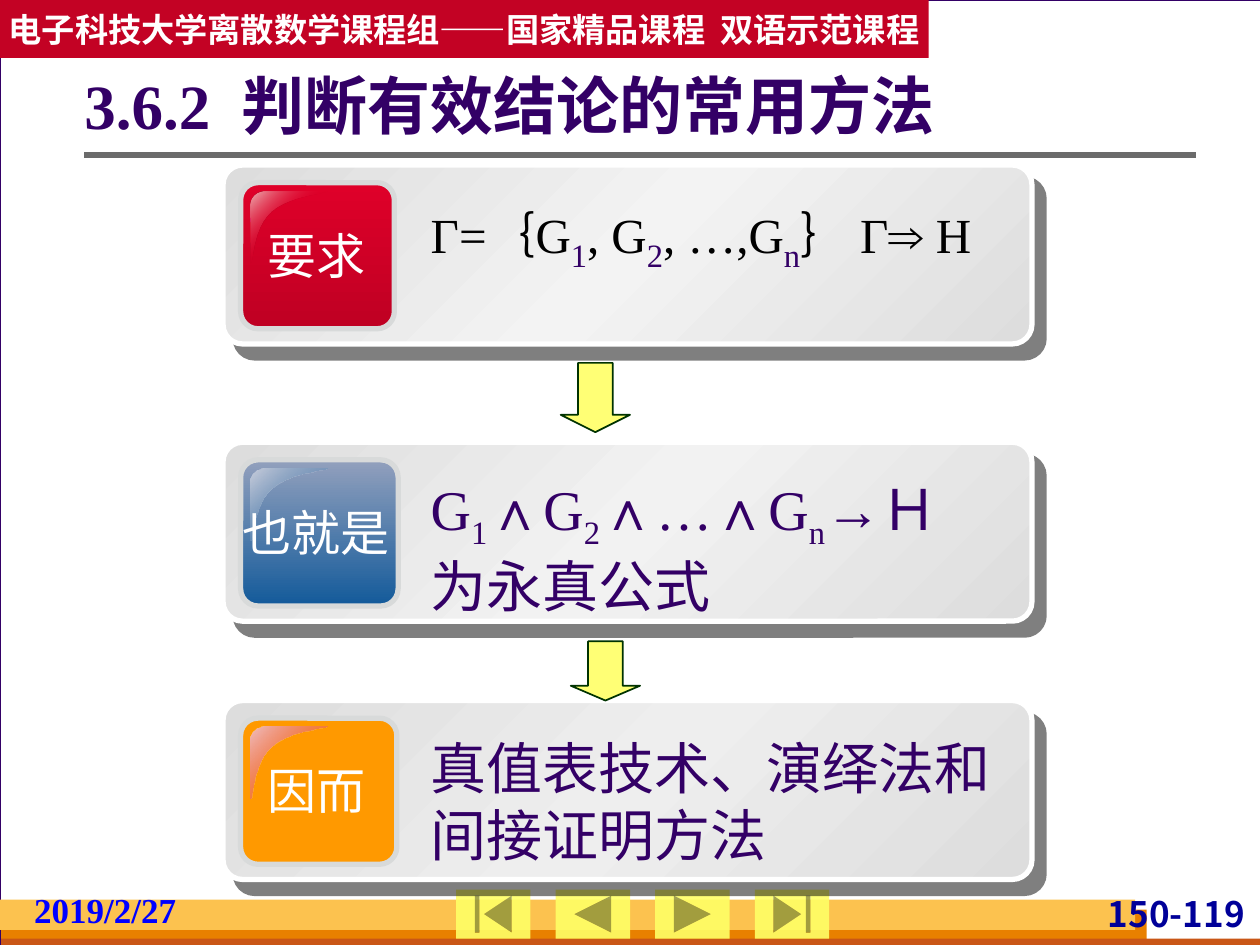
from pptx import Presentation
from pptx.dml.color import RGBColor
from pptx.enum.shapes import MSO_CONNECTOR, MSO_SHAPE as SHAPE
from pptx.enum.text import MSO_ANCHOR as ANCHOR, MSO_AUTO_SIZE as AUTO, PP_ALIGN as ALIGN
from pptx.oxml.ns import qn
from pptx.util import Inches, Pt
from lxml.etree import SubElement

CJK, SERIF = "Noto Sans CJK SC", "Times New Roman"
WHITE = RGBColor(0xFF, 0xFF, 0xFF)
BLACK = RGBColor(0, 0, 0)
PURPLE = RGBColor(0x33, 0x00, 0x66)
SILVER = RGBColor(0xD8, 0xDA, 0xDA)
RULE_GREY = RGBColor(0x6B, 0x6B, 0x6B)
CARD_EDGE = RGBColor(0xDD, 0xDD, 0xDD)
HEADER_RED = RGBColor(0xC3, 0x02, 0x24)
RED, DARK_RED = RGBColor(0xDF, 0x00, 0x29), RGBColor(0xBF, 0x00, 0x23)
PALE_RED, PINK = RGBColor(0xEE, 0xB5, 0xB6), RGBColor(0xF0, 0xBF, 0xC0)
BLUE, LIGHT_BLUE = RGBColor(0x13, 0x5A, 0x9A), RGBColor(0x92, 0xA0, 0xBD)
PALE_BLUE = RGBColor(0xC9, 0xCE, 0xDC)
ORANGE = RGBColor(0xFF, 0x99, 0x00)
FOOT_BANDS = (RGBColor(0xE8, 0x80, 0x00), RGBColor(0xC9, 0x56, 0x16), RGBColor(0xFC, 0xC2, 0x4F))
YELLOW, DARK_GREEN = RGBColor(0xFF, 0xFF, 0x66), RGBColor(0x00, 0x33, 0x00)
NAVY, DATE_BLUE = RGBColor(0x00, 0x00, 0x99), RGBColor(0x00, 0x00, 0xFF)


def set_alpha(parent, percent):
    for color in parent.iter(qn("a:srgbClr")):
        SubElement(color, qn("a:alpha")).set("val", str(percent * 1000))


def paint(s, fill, line=None, width=0.75, alpha=None):
    """Fill with one colour, or with a gradient given as (angle, stops)."""
    s.shadow.inherit = False
    if isinstance(fill, RGBColor):
        s.fill.solid()
        s.fill.fore_color.rgb = fill
        if alpha:
            set_alpha(s._element.spPr.find(qn("a:solidFill")), alpha)
    else:
        angle, stops = fill
        s.fill.gradient()
        s.fill.gradient_angle = 360 - angle
        gs_list = s._element.spPr.find(".//" + qn("a:gsLst"))
        gs_list.clear()
        for pos, color, opacity in stops:
            gs = SubElement(gs_list, qn("a:gs"), pos=str(pos * 1000))
            SubElement(gs, qn("a:srgbClr"), val=str(color))
            set_alpha(gs, opacity)
    if line is None:
        s.line.fill.background()
    else:
        s.line.color.rgb = line
        s.line.width = Pt(width)


def add_block(shapes, kind, box, fill, adj=None, **style):
    s = shapes.add_shape(kind, *map(Inches, box))
    for i, value in enumerate(adj or ()):
        s.adjustments[i] = value
    paint(s, fill, **style)
    return s


def add_run(p, text, size, color, font=SERIF, bold=False, baseline=0):
    r = p.add_run()
    r.text = text
    r.font.size, r.font.bold, r.font.name = Pt(size), bold, font
    r.font.color.rgb = color
    rPr = r._r.get_or_add_rPr()
    SubElement(rPr, qn("a:ea")).set("typeface", CJK)
    if baseline:
        rPr.set("baseline", str(baseline * 1000))


def add_text(shapes, box, lines, align=ALIGN.LEFT, wrap=True, tight=False):
    """Each line is a list of argument tuples for add_run."""
    tf = shapes.add_textbox(*map(Inches, box)).text_frame
    tf.word_wrap, tf.auto_size = wrap, AUTO.SHAPE_TO_FIT_TEXT
    if tight:
        tf.margin_left = tf.margin_right = Inches(0.04)
        tf.margin_top = tf.margin_bottom = 0
    for i, runs in enumerate(lines):
        p = tf.add_paragraph() if i else tf.paragraphs[0]
        p.alignment = align
        for run in runs:
            add_run(p, *run)


def formula(parts, size, color):
    """Alternate normal text and subscripts."""
    return [(text, 32, PURPLE, SERIF, False, -25) if i % 2 else (text, size, color)
            for i, text in enumerate(parts)]


def bezier(p0, p1, p2, p3, steps=12):
    for k in range(1, steps + 1):
        t = k / steps
        u = 1 - t
        yield tuple(u**3 * a + 3 * u * u * t * b + 3 * u * t * t * c + t**3 * d
                    for a, b, c, d in zip(p0, p1, p2, p3))


def add_gloss(shapes, x, y, fill):
    points = [(0.12, 0),
              *bezier((0.12, 0), (0.05, 0), (0, 0.05), (0, 0.11)),
              (0, 0.57),
              *bezier((0, 0.57), (0.03, 0.58), (0.01, 0.3), (0.17, 0.16)),
              *bezier((0.17, 0.16), (0.32, 0.03), (0.62, 0.02), (0.61, 0))]
    emu = [(Inches(x + dx), Inches(y + dy)) for dx, dy in points]
    builder = shapes.build_freeform(*emu[0])
    builder.add_line_segments(emu[1:], close=True)
    paint(builder.convert_to_shape(), fill)


def add_card(slide, box, label, lines, mid_grey, badge_width, badge_fill, gloss_fill):
    x, y, w, h = box
    shapes = slide.shapes.add_group_shape().shapes
    # Panel with a hard offset shadow
    sheen = (45, [(0, CARD_EDGE, 100), (50, mid_grey, 100), (100, CARD_EDGE, 100)])
    panel = add_block(shapes, SHAPE.ROUNDED_RECTANGLE, box, sheen, (0.109,), line=WHITE, width=3)
    shadow = SubElement(panel._element.spPr.find(qn("a:effectLst")), qn("a:outerShdw"),
                        dist=str(Pt(10.6)), dir=str(49 * 60000), algn="ctr", rotWithShape="0")
    SubElement(shadow, qn("a:srgbClr"), val=str(BLACK))
    set_alpha(shadow, 50)
    # Badge with its highlight and label
    add_block(shapes, SHAPE.ROUNDED_RECTANGLE, (x + 0.14, y + 0.14, badge_width, 1.16),
              badge_fill, (0.119,), line=SILVER, width=3)
    add_gloss(shapes, x + 0.22, y + 0.21, gloss_fill)
    add_text(shapes, (x + 0.04, y + 0.43, 1.4, 0.57), [[(label, 28, WHITE)]], ALIGN.CENTER, False)
    # Statement
    add_text(shapes, (x + 1.55, y + 0.21, w - 1.7, h - 0.24), lines)


def add_frame(slide):
    shapes = slide.shapes
    add_block(shapes, SHAPE.RECTANGLE, (0, 0, 10.01, 7.5), WHITE, line=PURPLE)
    # Footer bands
    bands = ((0.01, 7.22, 9.09, 0.28), (0.01, 7.45, 10, 0.08), (0, 7.14, 9.01, 0.24))
    for box, color in zip(bands, FOOT_BANDS):
        add_block(shapes, SHAPE.RECTANGLE, box, color)
    add_text(shapes, (8.7, 7.08, 1.22, 0.33), [[("150-119", 20, NAVY, CJK, True)]],
             ALIGN.RIGHT, tight=True)
    # Rule under the title
    rule = shapes.add_connector(MSO_CONNECTOR.STRAIGHT, *map(Inches, (0.67, 1.23, 9.49, 1.23)))
    rule.line.color.rgb, rule.line.width = RULE_GREY, Pt(3)
    SubElement(rule._element.spPr, qn("a:effectLst"))
    # Navigation buttons
    buttons = (SHAPE.ACTION_BUTTON_BEGINNING, SHAPE.ACTION_BUTTON_BACK_OR_PREVIOUS,
               SHAPE.ACTION_BUTTON_FORWARD_OR_NEXT, SHAPE.ACTION_BUTTON_END)
    for i, kind in enumerate(buttons):
        add_block(shapes, kind, (3.62 + 0.79 * i, 7.06, 0.59, 0.39), YELLOW, alpha=90)
    # Course banner
    tf = add_block(shapes, SHAPE.RECTANGLE, (0, 0, 7.37, 0.46), HEADER_RED).text_frame
    tf.word_wrap, tf.vertical_anchor = False, ANCHOR.MIDDLE
    tf.margin_left = tf.margin_right = Inches(0.04)
    tf.paragraphs[0].alignment = ALIGN.CENTER
    add_run(tf.paragraphs[0], "电子科技大学离散数学课程组——国家精品课程  双语示范课程",
            19, WHITE, CJK, True)
    add_text(shapes, (0.23, 7.05, 1.65, 0.33), [[("2019/2/27", 20, DATE_BLUE, SERIF, True)]],
             tight=True)


def add_title(slide, box):
    s = slide.shapes.title
    s.left, s.top, s.width, s.height = map(Inches, box)
    tf = s.text_frame
    tf.auto_size, tf.vertical_anchor, tf.margin_left = AUTO.NONE, ANCHOR.MIDDLE, 0
    p = tf.paragraphs[0]
    p.alignment, p.line_spacing = ALIGN.LEFT, 0.9
    add_run(p, "3.6.2  判断有效结论的常用方法", 36, PURPLE, SERIF, True)
    slide.shapes._spTree.append(s._element)  # bring above the frame


def main():
    prs = Presentation()
    prs.slide_width, prs.slide_height = Inches(10), Inches(7.5)
    slide = prs.slides.add_slide(prs.slide_layouts[5])
    slide.background.fill.solid()
    slide.background.fill.fore_color.rgb = SILVER
    add_frame(slide)
    add_title(slide, (0.67, 0.36, 8.82, 1.01))

    # Three reasoning steps: top, label, lines, sheen, badge width, badge and gloss fills
    cards = (
        (1.31, "要求", [formula(("Г=｛G", "1", ", G", "2", ", …,G", "n", "｝ Г⇒ H"), 28, BLACK)],
         RGBColor(0xF3, 0xF3, 0xF3), 1.22, (90, [(0, RED, 100), (100, DARK_RED, 100)]),
         (45, [(0, PALE_RED, 100), (50, RED, 0), (100, PALE_RED, 100)])),
        (3.51, "也就是", [formula(("G", "1", "∧G", "2", "∧…∧G", "n", "→Ｈ"), 32, PURPLE),
                       [("为永真公式", 32, PURPLE)]],
         RGBColor(0xF2, 0xF2, 0xF2), 1.25, (90, [(0, LIGHT_BLUE, 100), (100, BLUE, 100)]),
         (45, [(0, PALE_BLUE, 100), (100, BLUE, 0)])),
        (5.56, "因而", [[("真值表技术、演绎法和间接证明方法", 32, PURPLE)]],
         RGBColor(0xEE, 0xEE, 0xEE), 1.24, ORANGE, (45, [(0, PINK, 100), (100, RED, 0)])),
    )
    for top, *content in cards:
        add_card(slide, (1.77, top, 6.42, 1.42), *content)

    # Arrows between the steps
    for box in ((4.45, 2.88, 0.55, 0.55), (4.53, 5.09, 0.55, 0.47)):
        add_block(slide.shapes, SHAPE.DOWN_ARROW, box, YELLOW, (0.5, 0.25),
                  line=DARK_GREEN, width=1, alpha=90)
    prs.save("out.pptx")


if __name__ == "__main__":
    main()
